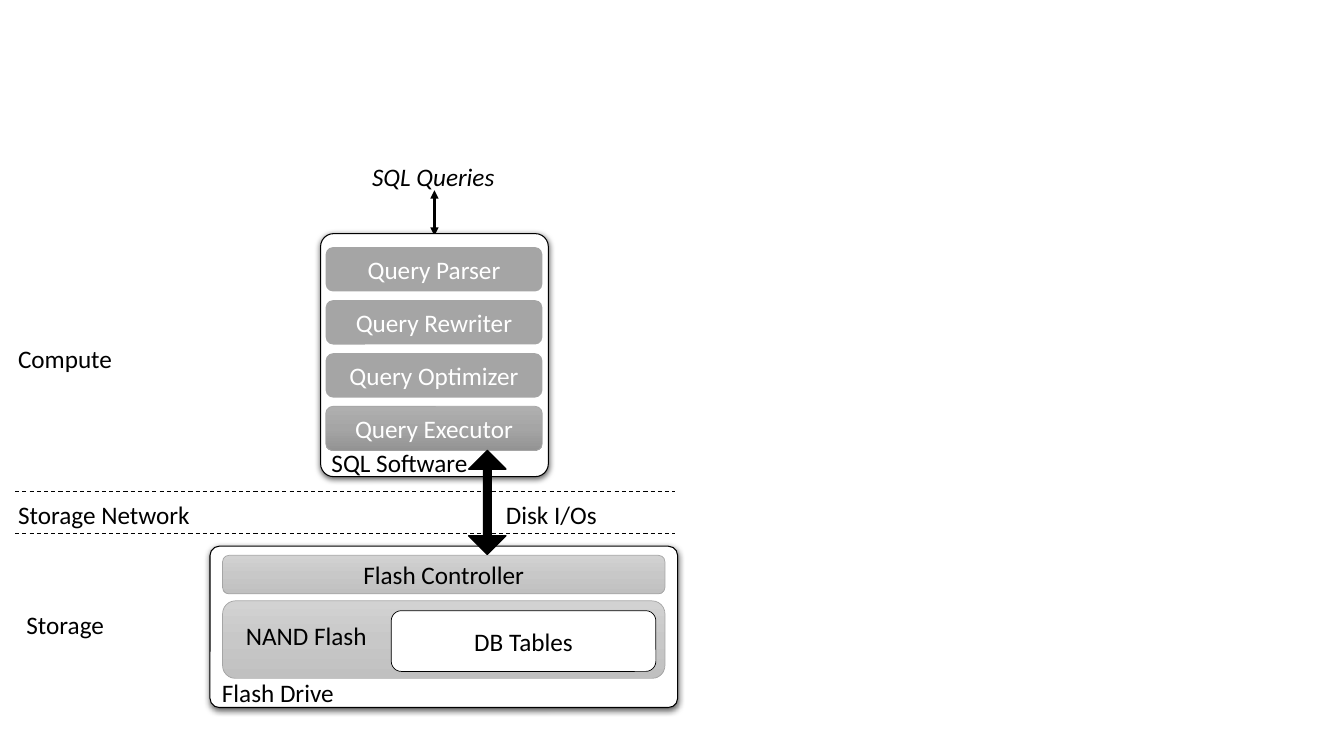
from pptx import Presentation
from pptx.dml.color import RGBColor
from pptx.enum.dml import MSO_LINE
from pptx.enum.shapes import MSO_CONNECTOR as Connector, MSO_SHAPE as Shape
from pptx.enum.text import MSO_ANCHOR as Anchor, MSO_AUTO_SIZE as AutoSize, PP_ALIGN as Align
from pptx.oxml import parse_xml
from pptx.oxml.ns import nsdecls
from pptx.util import Pt

BLACK, WHITE, GREY = "000000", "FFFFFF", "A5A5A5"
DARK_SHADES = ("AFAFAF", "A5A5A5", "939393")
LIGHT_SHADES = ("D2D2D2", "C8C8C8", "C0C0C0")
LABEL_HEIGHT = 29.1


def colour(value):
    return RGBColor.from_string(value)


def points(box):
    return [Pt(length) for length in box]


def write(frame, text, color=BLACK, align=Align.CENTER, italic=None):
    para = frame.paragraphs[0]
    para.alignment = align
    span = para.add_run()
    span.text = text
    for name, value in {"name": "Calibri", "size": Pt(18), "italic": italic}.items():
        setattr(span.font, name, value)
    span.font.color.rgb = colour(color)


def add_label(page, text, box, align=Align.LEFT, italic=None):
    frame = page.shapes.add_textbox(*points(box)).text_frame
    for name, value in {"word_wrap": True, "auto_size": AutoSize.SHAPE_TO_FIT_TEXT}.items():
        setattr(frame, name, value)
    write(frame, text, align=align, italic=italic)


def shade(shape, shades):
    stops = "".join(
        f'<a:gs pos="{index * 50000}"><a:srgbClr val="{value}"/></a:gs>'
        for index, value in enumerate(shades))
    shape._element.spPr.insert(2, parse_xml(
        f'<a:gradFill {nsdecls("a")} rotWithShape="1"><a:gsLst>{stops}</a:gsLst>'
        '<a:lin ang="5400000" scaled="0"/></a:gradFill>'))


def cast_shadow(shape):
    shape._element.spPr.effectLst.append(parse_xml(
        f'<a:outerShdw {nsdecls("a")} blurRad="57150" dist="19050" dir="5400000" '
        'algn="ctr" rotWithShape="0"><a:srgbClr val="000000"><a:alpha val="63000"/>'
        '</a:srgbClr></a:outerShdw>'))


def add_block(page, box, fill=WHITE, line=None, weight=0.5, text="", color=BLACK,
              kind=Shape.ROUNDED_RECTANGLE):
    shape = page.shapes.add_shape(kind, *points(box))
    shape.shadow.inherit = False
    if isinstance(fill, tuple):
        shade(shape, fill)
    else:
        shape.fill.solid()
        shape.fill.fore_color.rgb = colour(fill)
    if line:
        shape.line.color.rgb = colour(line)
        shape.line.width = Pt(weight)
    else:
        shape.line.fill.background()
    if text:
        shape.text_frame.vertical_anchor = Anchor.MIDDLE
        write(shape.text_frame, text, color)
    return shape


def add_container(page, box):
    shape = add_block(page, box, line=BLACK, weight=0.75)
    shape.adjustments[0] = 0.057
    cast_shadow(shape)


def add_line(page, start, end, weight):
    connector = page.shapes.add_connector(Connector.STRAIGHT, *points(start + end))
    connector.line.color.rgb = colour(BLACK)
    connector.line.width = Pt(weight)
    connector._element.spPr.append(parse_xml(f'<a:effectLst {nsdecls("a")}/>'))
    return connector


def add_flash_drive(page, box):
    left, top, width, height = box
    add_container(page, box)
    add_label(page, "Flash Drive", (left + 1.4, top + 90, 167, LABEL_HEIGHT))
    inner_left, inner_width = left + 9, width - 18
    add_block(page, (inner_left, top + 6.5, inner_width, 27.5), LIGHT_SHADES, GREY,
              text="Flash Controller")
    add_block(page, (inner_left, top + 39, inner_width, 55.4), LIGHT_SHADES, GREY)
    add_label(page, "NAND Flash", (left + 18.5, top + 49, 167, LABEL_HEIGHT))
    add_block(page, (left + 129.5, top + 46, 189, 43.4), line=BLACK, text="DB Tables")


def add_sql_software(page, box):
    left, top, width, height = box
    add_label(page, "SQL Queries", (left + 18.5, top - 55.5, 124, LABEL_HEIGHT),
              Align.CENTER, True)
    middle = left + width / 2
    queries = add_line(page, (middle, top - 31), (middle, top + 1.5), 1.5)
    for end in ("headEnd", "tailEnd"):
        queries.line._get_or_add_ln().append(
            parse_xml(f'<a:{end} {nsdecls("a")} type="triangle"/>'))
    add_container(page, box)
    layers = {"Query Parser": GREY, "Query Rewriter": GREY,
              "Query Optimizer": GREY, "Query Executor": DARK_SHADES}
    for index, (text, fill) in enumerate(layers.items()):
        layer_box = (left + 3.6, top + 9.6 + index * 37.9, 154.8, 31.7)
        line = GREY if fill == DARK_SHADES else None
        add_block(page, layer_box, fill, line, text=text, color=WHITE)
    add_label(page, "SQL Software", (left + 0.7, top + 149.2, 131, LABEL_HEIGHT))


def add_storage_network(page, box):
    left, top, width, height = box
    for level in (top, top + height):
        border = add_line(page, (left, level), (left + width, level), 0.75)
        border.line.dash_style = MSO_LINE.DASH
    arrow = add_block(page, (left + 324, top - 29.5, 26.6, 74.2), BLACK, BLACK, 1,
                      kind=Shape.UP_DOWN_ARROW)
    arrow.adjustments[1] = 0.203
    add_label(page, "Disk I/Os", (left + 343.5, top + 1.6, 172, LABEL_HEIGHT))


def add_tier_names(page, box):
    left, top, width, height = box
    for text, indent, drop in (("Compute", 0, 0), ("Storage Network", 0, 110.9),
                               ("Storage", 6, 189.5)):
        add_label(page, text, (left + indent, top + drop, width, LABEL_HEIGHT))


def main():
    deck = Presentation()
    deck.slide_width, deck.slide_height = Pt(960), Pt(540)
    page = deck.slides.add_slide(deck.slide_layouts[6])
    add_flash_drive(page, (150, 390.2, 334, 115.2))
    add_sql_software(page, (229, 166.9, 162.7, 173.6))
    add_storage_network(page, (10.8, 351.3, 471.6, 29.8))
    add_tier_names(page, (5.8, 241.9, 172, 218.6))
    deck.save("out.pptx")


if __name__ == "__main__":
    main()
